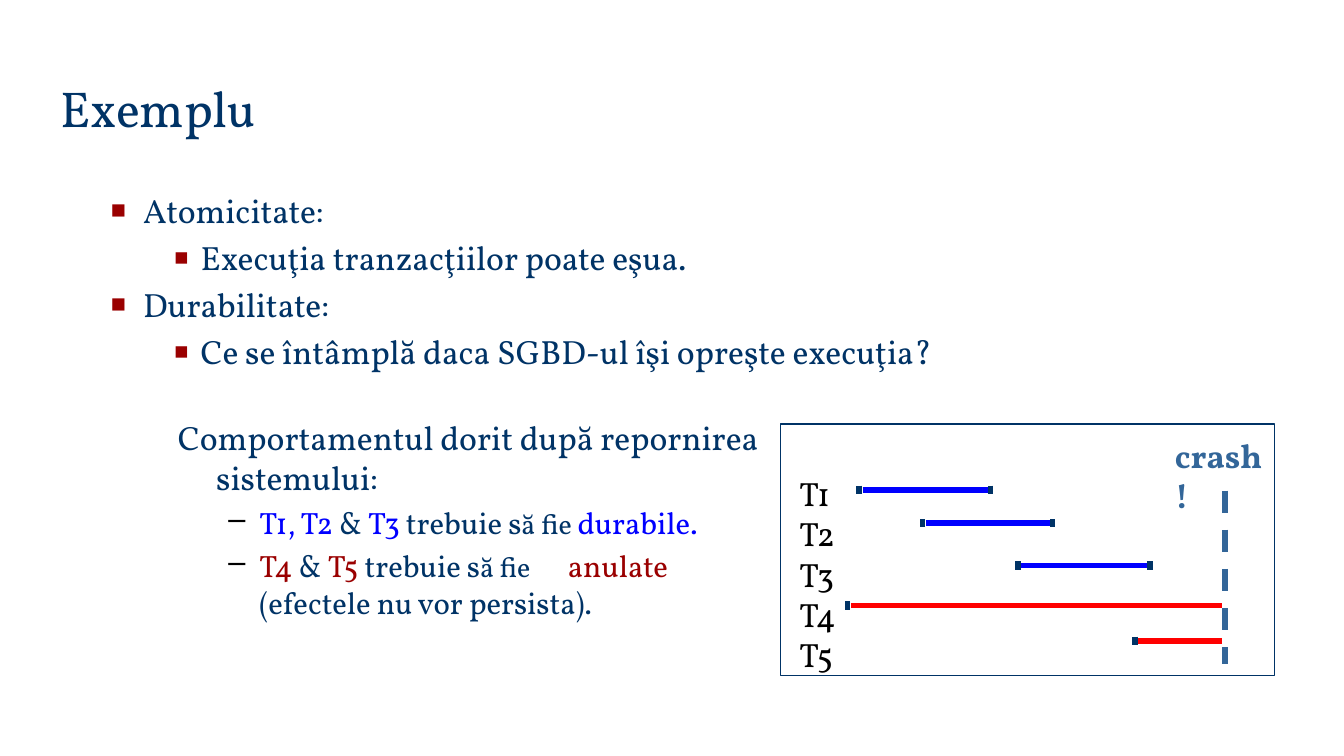
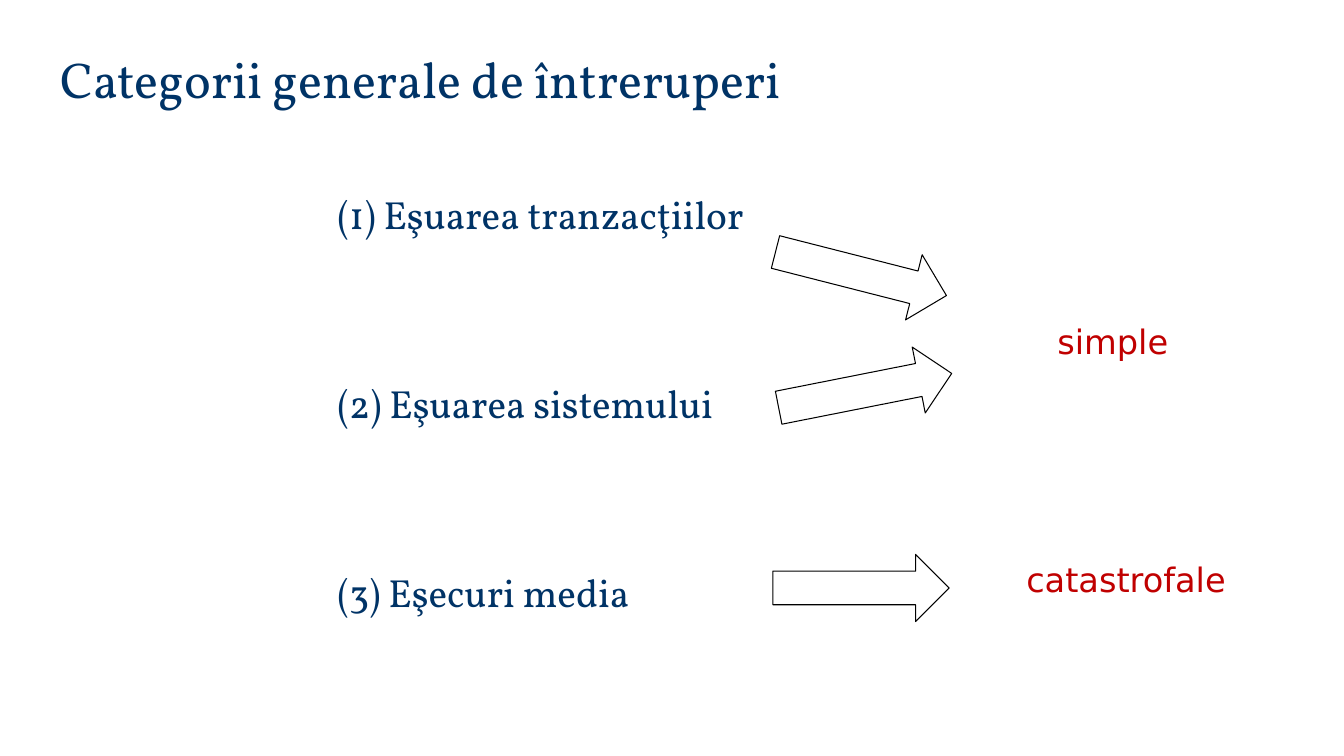
import lxml.etree
import pptx
import pptx.dml.color
import pptx.enum.dml
import pptx.enum.shapes
import pptx.enum.text
import pptx.oxml.ns
import pptx.util

# Square grid: 16 columns by 9 rows
COLUMNS, ROWS = 16, 9
UNIT = pptx.util.Inches(7.5) / ROWS

NAVY, RED, BLUE, STEEL = "003366", "9A0000", "0000FF", "336699"
BLACK, WHITE, BRIGHT_RED, DARK_RED = "000000", "FFFFFF", "FF0000", "C00000"

BASE = {"name": "Vollkorn", "size": 24, "color": NAVY}
TITLE = {**BASE, "size": 36}
HEADING = {**BASE, "size": 28}
VERDICT = {**BASE, "name": "DejaVu Sans", "color": DARK_RED}

# Paragraph styles: left margin and first-line indent in inches, bullet as (mark, colour, percent)
POINT = {"margin": 0.32, "indent": -0.32, "bullet": ("■", RED, 75)}
SUBPOINT = {"level": 1, "margin": 0.89, "indent": -0.26, "bullet": ("■", RED, 70)}
HANGING = {"margin": 0.38, "indent": -0.38}
DASHED = {"level": 1, "margin": 0.81, "indent": -0.31, "bullet": ("–", BLACK, 100)}


def grid(*lengths):
    return [round(length * UNIT) for length in lengths]


def rgb(color):
    return pptx.dml.color.RGBColor.from_string(color)


def add_run(paragraph, text, style):
    run = paragraph.add_run()
    run.text = text
    values = {**style, "size": pptx.util.Pt(style["size"])}
    run.font.color.rgb = rgb(values.pop("color"))
    for name, value in values.items():
        setattr(run.font, name, value)


def add_property(parent, tag, **attributes):
    element = lxml.etree.SubElement(parent, pptx.oxml.ns.qn(tag))
    for name, value in attributes.items():
        element.set(name, str(value))
    return element


def format_paragraph(paragraph, margin=0, indent=0, level=0, space=0, bullet=None, tab=None):
    values = {"alignment": pptx.enum.text.PP_ALIGN.LEFT, "level": level,
              "space_before": pptx.util.Pt(space)}
    for name, value in values.items():
        setattr(paragraph, name, value)
    properties = paragraph._p.get_or_add_pPr()
    properties.set("marL", str(pptx.util.Inches(margin)))
    properties.set("indent", str(pptx.util.Inches(indent)))
    if bullet:
        mark, color, percent = bullet
        add_property(add_property(properties, "a:buClr"), "a:srgbClr", val=color)
        add_property(properties, "a:buSzPct", val=percent * 1000)
        add_property(properties, "a:buChar", char=mark)
    else:
        add_property(properties, "a:buNone")
    if tab:
        stops = add_property(properties, "a:tabLst")
        add_property(stops, "a:tab", pos=pptx.util.Inches(tab), algn="l")


def fill_text(shape, paragraphs, wrap=True, anchor="TOP"):
    """Each paragraph is (paragraph style, [(text, run style), ...])."""
    frame = shape.text_frame
    values = {"word_wrap": wrap, "auto_size": pptx.enum.text.MSO_AUTO_SIZE.NONE,
              "vertical_anchor": getattr(pptx.enum.text.MSO_ANCHOR, anchor)}
    for name, value in values.items():
        setattr(frame, name, value)
    for index, (style, runs) in enumerate(paragraphs):
        paragraph = frame.add_paragraph() if index else frame.paragraphs[0]
        format_paragraph(paragraph, **style)
        for text, run_style in runs:
            add_run(paragraph, text, run_style)


def move(shape, *box):
    for name, value in zip(("left", "top", "width", "height"), grid(*box)):
        setattr(shape, name, value)


def add_slide(presentation, title, title_row, body_box, body):
    slide = presentation.slides.add_slide(presentation.slide_layouts[0])
    move(slide.shapes.title, 0.6, title_row, 13.4, 0.85)
    fill_text(slide.shapes.title, [({}, [(title, TITLE)])], anchor="BOTTOM")
    move(slide.placeholders[1], *body_box)
    fill_text(slide.placeholders[1], body)
    return slide


def add_text(slide, box, paragraphs, wrap=True):
    fill_text(slide.shapes.add_textbox(*grid(*box)), paragraphs, wrap)


def add_line(slide, start, end, color, dashed=False):
    connector = slide.shapes.add_connector(
        pptx.enum.shapes.MSO_CONNECTOR.STRAIGHT, *grid(*start, *end))
    connector.line.color.rgb = rgb(color)
    connector.line.width = pptx.util.Pt(4)
    if dashed:
        connector.line.dash_style = pptx.enum.dml.MSO_LINE.DASH
    add_property(connector._element.spPr, "a:effectLst")


def add_shape(slide, kind, box, line, width, fill=None, rotation=0):
    shape = slide.shapes.add_shape(
        getattr(pptx.enum.shapes.MSO_SHAPE, kind), *grid(*box))
    shape.shadow.inherit = False
    shape.rotation = rotation
    shape.line.color.rgb = rgb(line)
    shape.line.width = pptx.util.Pt(width)
    if fill:
        shape.fill.solid()
        shape.fill.fore_color.rgb = rgb(fill)
    else:
        shape.fill.background()


def add_transaction(slide, row, start, end, color, finished):
    add_line(slide, (start, row), (end, row), color)
    for tick in [start - 0.04] + ([end + 0.03] if finished else []):
        add_line(slide, (tick, row - 0.05), (tick, row + 0.05), NAVY)


def build_example(presentation):
    gap = {"space": 4.8}
    points = [(POINT, "Atomicitate:"), (SUBPOINT, "Execuţia tranzacţiilor poate eşua."),
              (POINT, "Durabilitate:"),
              (SUBPOINT, "Ce se întâmplă daca SGBD-ul îşi opreşte execuţia?")]
    slide = add_slide(presentation, "Exemplu", 0.85, (1.2, 2.2, 14.02, 6.6),
                      [({**style, **gap}, [(text, BASE)]) for style, text in points])

    # Desired behaviour after restart
    plain, small, durable, undone = (
        {**BASE, "size": size, "color": color}
        for size, color in ((22, NAVY), (20, NAVY), (22, BLUE), (22, RED)))
    item = {**DASHED, "space": 4.4}
    add_text(slide, (2, 4.9, 7.42, 3.5), [
        ({**HANGING, **gap}, [("Comportamentul dorit după repornirea sistemului:", BASE)]),
        (item, [("T1, T2 ", durable), ("& ", plain), ("T3 ", durable),
                ("trebuie s", plain), ("ă fie ", small), ("durabile.", durable)]),
        ({**item, "tab": 3.87},
         [("T4 ", undone), ("& ", plain), ("T5 ", undone), ("trebuie s", plain),
          ("ă fie", small), ("\tanulate", undone)]),
    ])
    second_item = slide.shapes[-1].text_frame.paragraphs[-1]
    second_item.add_line_break()
    add_run(second_item, "(efectele nu vor persista).", plain)

    # Timeline of transactions up to the crash
    add_text(slide, (13.87, 5.12, 1.32, 0.6),
             [({}, [("crash!", {**BASE, "color": STEEL, "bold": True})])])
    add_text(slide, (9.4, 5.57, 0.7, 2.54),
             [({}, [(f"T{number}", {**BASE, "color": BLACK})]) for number in range(1, 6)],
             wrap=False)
    crash = 14.58
    for row, start, end in ((5.83, 10.27, 11.76), (6.23, 11.02, 12.5), (6.73, 12.16, 13.66)):
        add_transaction(slide, row, start, end, BLUE, finished=True)
    for row, start in ((7.21, 10.13), (7.63, 13.55)):
        add_transaction(slide, row, start, crash - 0.03, BRIGHT_RED, finished=False)
    add_line(slide, (crash, 5.84), (crash, 7.91), STEEL, dashed=True)
    add_shape(slide, "RECTANGLE", (9.29, 5.05, 5.88, 2.99), NAVY, 1)


def build_categories(presentation):
    categories = ("(1) Eşuarea tranzacţiilor", "(2) Eşuarea sistemului", "(3) Eşecuri media")
    slide = add_slide(presentation, "Categorii generale de întreruperi", 0.5,
                      (3.9, 2.2, 11.2, 6.6),
                      [({"space": 101.4 if index else 5.6}, [(text, HEADING)])
                       for index, text in enumerate(categories)])

    # Arrows from each category to its severity
    for left, top, rotation in ((9.2, 2.86, 14.3), (9.25, 4.25, 348.8), (9.2, 6.6, 0)):
        add_shape(slide, "RIGHT_ARROW", (left, top, 2.1, 0.8), BLACK, 0.75, WHITE, rotation)
    for text, box in (("simple", (12.47, 3.76, 1.56, 0.6)),
                      ("catastrofale", (12.1, 6.6, 2.62, 0.6))):
        add_text(slide, box, [({}, [(text, VERDICT)])], wrap=False)


def main():
    presentation = pptx.Presentation()
    presentation.slide_width, presentation.slide_height = grid(COLUMNS, ROWS)
    build_example(presentation)
    build_categories(presentation)
    presentation.save("out.pptx")


if __name__ == "__main__":
    main()
